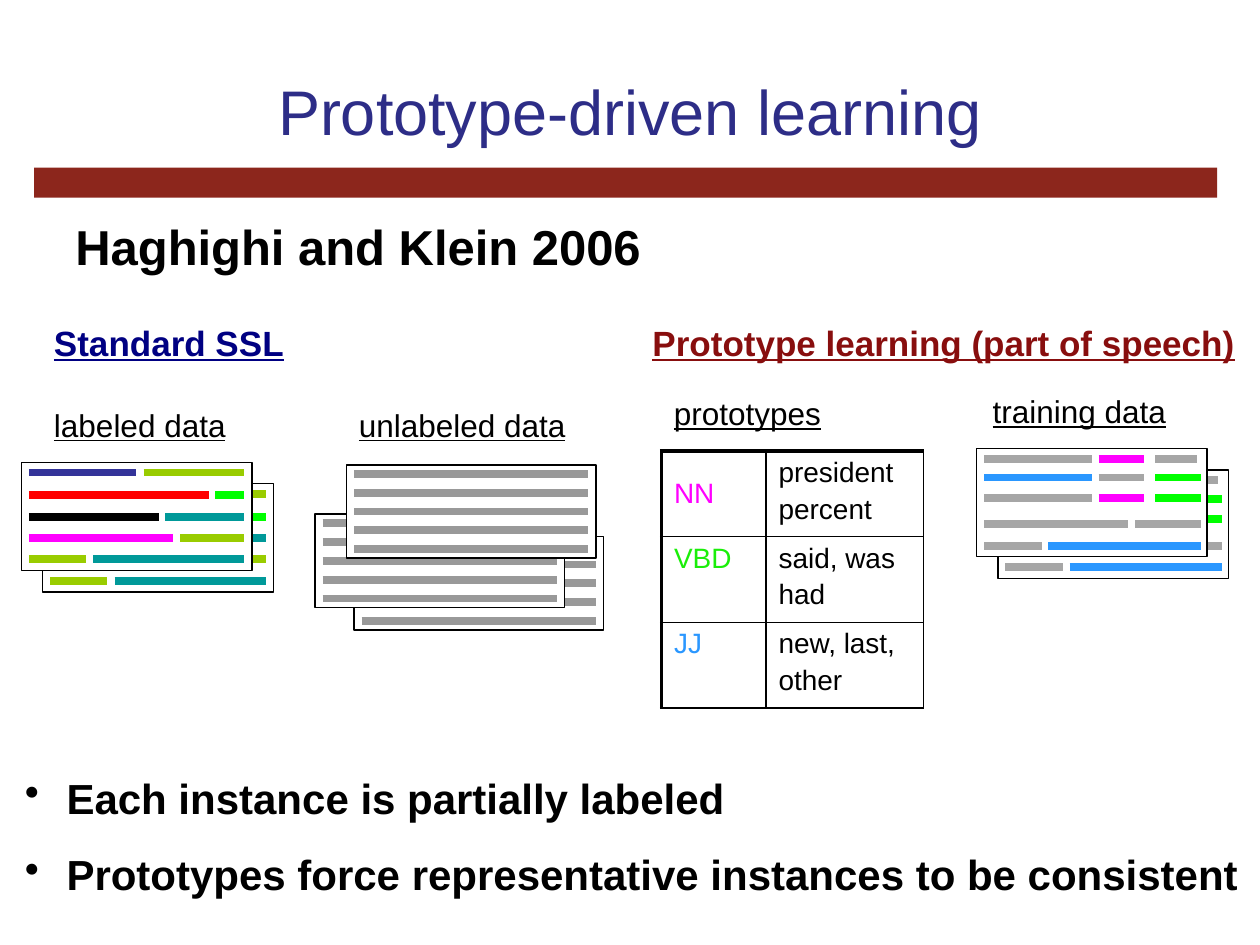
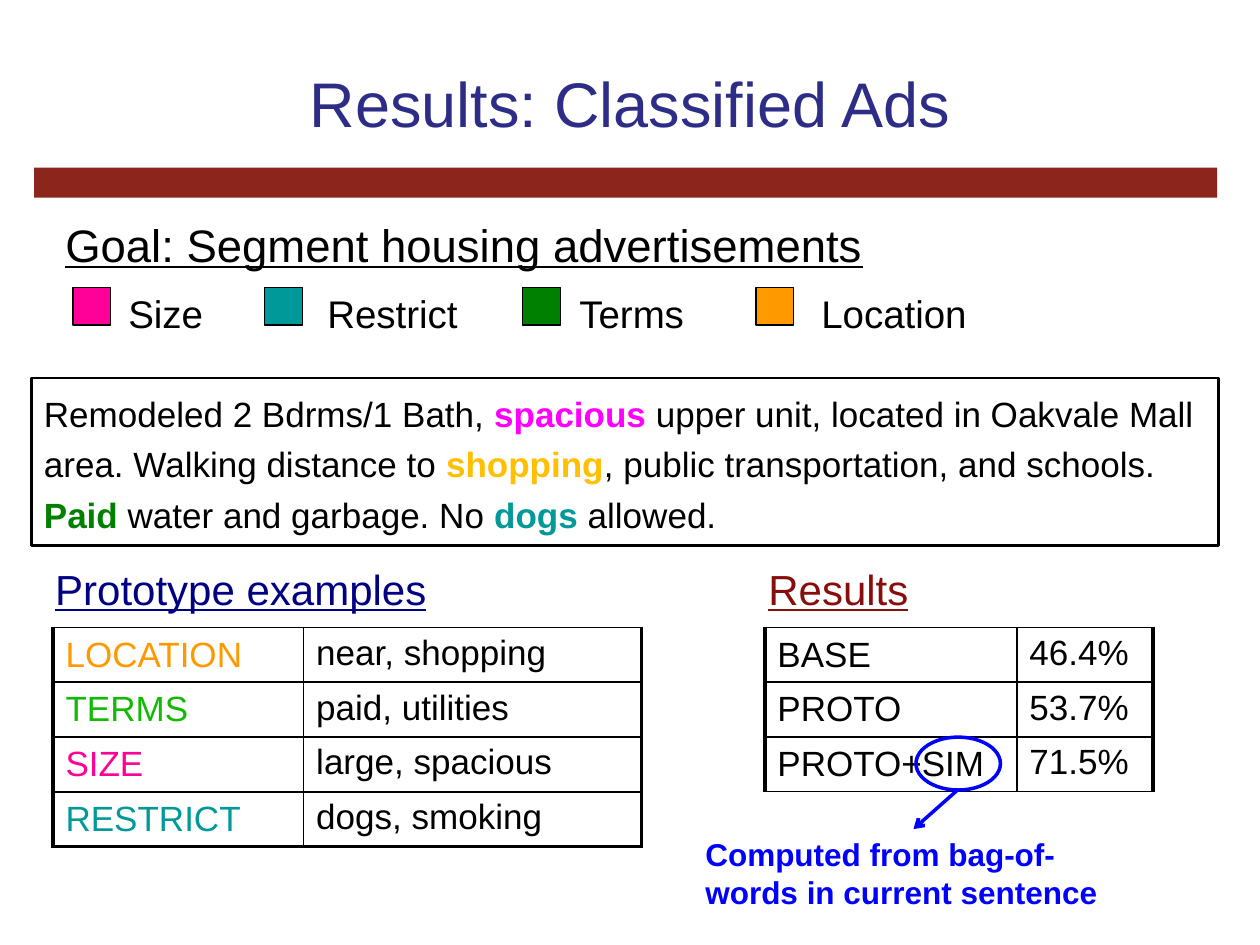
from dataclasses import dataclass
from typing import Optional

from lxml.etree import SubElement
from pptx import Presentation
from pptx.dml.color import RGBColor
from pptx.enum.shapes import MSO_CONNECTOR as Connector, MSO_SHAPE as Preset
from pptx.enum.text import MSO_ANCHOR as Anchor, MSO_AUTO_SIZE as AutoSize, PP_ALIGN as Align
from pptx.oxml.ns import qn
from pptx.util import Pt

SCALE = 9144
FONT = "Arial"
COLORS = {
    "title": "2D2D87", "band": "8C261C", "black": "000000", "white": "FFFFFF",
    "navy": "000082", "maroon": "880E0E", "blue": "0000FF", "indigo": "333399",
    "gray": "999999", "silver": "A6A6A6", "olive": "99CC00", "lime": "00FF00",
    "teal": "009999", "red": "FF0000", "magenta": "FF00FF", "sky": "2A97FF",
    "verb": "1AEE09", "green": "008000", "leaf": "12BA05", "pink": "FF0099",
    "orange": "FF9900", "gold": "FFC000",
}


@dataclass(frozen=True)
class Box:
    """Place and size in px."""
    left: int
    top: int
    width: int
    height: int


@dataclass(frozen=True)
class Stroke:
    """A coloured line of text on a page, measured from the page's left edge."""
    start: int
    end: int
    color: str


@dataclass(frozen=True)
class Run:
    """A run of text with its own colour and weight."""
    text: str
    color: str = "black"
    bold: bool = False


@dataclass(frozen=True)
class Grid:
    """A two-column table of coloured labels and values."""
    box: Box
    columns: tuple
    rows: tuple
    size: int
    heavy_sides: str
    centered_labels: int


@dataclass(frozen=True)
class Category:
    """A legend entry with its swatch and label positions."""
    label: str
    color: str
    swatch_left: int
    label_left: int


LABELED_ROWS = (
    (8, (Stroke(6, 91, "indigo"), Stroke(97, 177, "olive"))),
    (26, (Stroke(6, 149, "red"), Stroke(154, 177, "lime"))),
    (43, (Stroke(6, 109, "black"), Stroke(114, 177, "teal"))),
    (60, (Stroke(6, 120, "magenta"), Stroke(126, 177, "olive"))),
    (77, (Stroke(6, 51, "olive"), Stroke(57, 177, "teal"))),
)
TRAINING_ROWS = (
    (8, (Stroke(6, 92, "silver"), Stroke(97, 133, "magenta"), Stroke(142, 175, "silver"))),
    (23, (Stroke(6, 92, "sky"), Stroke(97, 133, "silver"), Stroke(142, 178, "lime"))),
    (39, (Stroke(6, 92, "silver"), Stroke(97, 133, "magenta"), Stroke(142, 178, "lime"))),
    (60, (Stroke(6, 120, "silver"), Stroke(126, 178, "silver"))),
    (77, (Stroke(6, 52, "silver"), Stroke(57, 178, "sky"))),
)
UNLABELED_ROWS = tuple((7 + 15 * row, (Stroke(6, 192, "gray"),)) for row in range(5))

TAGS = Grid(
    Box(525, 358, 208, 204), (83, 125),
    (("NN", "magenta", ("president", "percent")),
     ("VBD", "verb", ("said, was", "had")),
     ("JJ", "sky", ("new, last,", "other"))),
    16, "LT", 1)
FIELDS = Grid(
    Box(42, 498, 467, 174), (199, 268),
    (("LOCATION", "orange", ("near, shopping",)),
     ("TERMS", "leaf", ("paid, utilities",)),
     ("SIZE", "pink", ("large, spacious",)),
     ("RESTRICT", "teal", ("dogs, smoking",))),
    20, "LRB", 4)
SCORES = Grid(
    Box(607, 498, 308, 130), (200, 108),
    (("BASE", "black", ("46.4%",)),
     ("PROTO", "black", ("53.7%",)),
     ("PROTO+SIM", "black", ("71.5%",))),
    20, "LR", 3)
CATEGORIES = (
    Category("Size", "pink", 58, 92),
    Category("Restrict", "teal", 210, 250),
    Category("Terms", "green", 415, 450),
    Category("Location", "orange", 600, 642),
)
AD = (
    Run("Remodeled 2 Bdrms/1 Bath, "), Run("spacious", "magenta", True),
    Run(" upper unit, located in Oakvale Mall area. Walking distance to "),
    Run("shopping", "gold", True), Run(", public transportation, and schools. "),
    Run("Paid ", "green", True), Run("water and garbage. No "),
    Run("dogs", "teal", True), Run(" allowed."),
)


def px(length: int) -> int:
    """Turn px into EMU."""
    return length * SCALE


def place(box: Box) -> tuple:
    """Return a box as four EMU lengths."""
    return px(box.left), px(box.top), px(box.width), px(box.height)


def rgb(name: str) -> RGBColor:
    """Look up a colour by name."""
    return RGBColor.from_string(COLORS[name])


def write(frame, paragraphs, size=18, color="black", bold=False, underline=False,
          align=Align.LEFT, anchor=Anchor.TOP, gap=0, spacing=None, bullet_indent=0) -> None:
    """Fill a text frame with paragraphs of strings or runs in one format."""
    frame.word_wrap = True
    frame.vertical_anchor = anchor
    for index, content in enumerate(paragraphs):
        paragraph = frame.add_paragraph() if index else frame.paragraphs[0]
        if bullet_indent:
            properties = paragraph._p.get_or_add_pPr()
            properties.set("marL", str(px(bullet_indent)))
            properties.set("indent", str(-px(bullet_indent)))
            SubElement(properties, qn("a:buChar")).set("char", "•")
        paragraph.alignment = align
        paragraph.line_spacing = spacing
        if index:
            paragraph.space_before = Pt(gap)
        for part in (Run(content, color, bold),) if isinstance(content, str) else content:
            run = paragraph.add_run()
            run.text = part.text
            font = run.font
            font.name, font.size = FONT, Pt(size)
            font.bold, font.underline = part.bold, underline
            font.color.rgb = rgb(part.color)


def add_text(slide, box: Box, *paragraphs, **text_format) -> None:
    """Add a text box."""
    write(slide.shapes.add_textbox(*place(box)).text_frame, paragraphs, **text_format)


def add_shape(slide, box: Box, fill: Optional[str] = None, outline: Optional[str] = "black",
              weight: float = 0.75, preset=Preset.RECTANGLE):
    """Add a flat preset shape."""
    shape = slide.shapes.add_shape(preset, *place(box))
    shape.shadow.inherit = False
    if fill:
        shape.fill.solid()
        shape.fill.fore_color.rgb = rgb(fill)
    else:
        shape.fill.background()
    if outline:
        shape.line.color.rgb = rgb(outline)
        shape.line.width = Pt(weight)
    else:
        shape.line.fill.background()
    return shape


def add_line(slide, start: tuple, end: tuple, color: str, weight: float, arrow=False) -> None:
    """Add a straight line, with an arrowhead at its end if asked."""
    line = slide.shapes.add_connector(Connector.STRAIGHT, *map(px, start + end))
    line.line.color.rgb = rgb(color)
    line.line.width = Pt(weight)
    if arrow:
        SubElement(line.line._get_or_add_ln(), qn("a:tailEnd")).set("type", "arrow")
    SubElement(line._element.spPr, qn("a:effectLst"))


def add_page(slide, box: Box, rows: tuple) -> None:
    """Draw a sheet of paper with its rows of strokes."""
    add_shape(slide, box, "white")
    for offset, strokes in rows:
        y = box.top + offset
        for stroke in strokes:
            add_line(slide, (box.left + stroke.start, y), (box.left + stroke.end, y),
                     stroke.color, 4.5)


def add_page_pair(slide, left: int, top: int, rows: tuple) -> None:
    """Draw a page in front of a shifted one that shows its row ends and last row."""
    peeking = tuple((y, strokes[-1:]) for y, strokes in rows[:-1]) + rows[-1:]
    add_page(slide, Box(left + 17, top + 17, 183, 86), peeking)
    add_page(slide, Box(left, top, 183, 86), rows)


def set_border(cell, side: str, weight: float) -> None:
    """Draw one side of a cell in black."""
    edge = SubElement(cell._tc.get_or_add_tcPr(), qn(f"a:ln{side}"))
    edge.set("w", str(Pt(weight)))
    SubElement(SubElement(edge, qn("a:solidFill")), qn("a:srgbClr")).set("val", COLORS["black"])


def add_grid(slide, grid: Grid) -> None:
    """Add a table with heavy outer sides and thin inner rules."""
    count = len(grid.rows)
    table = slide.shapes.add_table(count, 2, *place(grid.box)).table
    table.first_row = table.horz_banding = False
    for column, width in zip(table.columns, grid.columns):
        column.width = px(width)
    for row, (label, color, values) in enumerate(grid.rows):
        table.rows[row].height = px(grid.box.height) // count
        for column, lines in enumerate(((label,), values)):
            cell = table.cell(row, column)
            write(cell.text_frame, lines, size=grid.size,
                  color="black" if column else color, gap=grid.size / 5)
            centered = column == 0 and row < grid.centered_labels
            cell.vertical_anchor = Anchor.MIDDLE if centered else Anchor.TOP
            outer = {"L": column == 0, "R": column == 1, "T": row == 0, "B": row == count - 1}
            for side, is_outer in outer.items():
                set_border(cell, side, 2.25 if is_outer and side in grid.heavy_sides else 1)
            cell.fill.background()


def add_slide(deck, title: str, box: Box):
    """Add a slide with the red band and a formatted title."""
    slide = deck.slides.add_slide(deck.slide_layouts[5])
    heading = slide.shapes.title
    heading.left, heading.top, heading.width, heading.height = place(box)
    write(heading.text_frame, [title], size=36, color="title",
          align=Align.CENTER, anchor=Anchor.MIDDLE)
    heading.text_frame.auto_size = AutoSize.NONE
    add_shape(slide, Box(27, 133, 939, 24), "band", None)
    return slide


def build_learning(deck) -> None:
    """Compare standard semi-supervised learning with prototype learning."""
    slide = add_slide(deck, "Prototype-driven learning", Box(50, 25, 900, 125))
    add_text(slide, Box(50, 167, 717, 57), "Haghighi and Klein 2006", size=28, bold=True)
    for left, heading, color in ((33, "Standard SSL", "navy"),
                                 (508, "Prototype learning (part of speech)", "maroon")):
        add_text(slide, Box(left, 250, 492, 62), heading,
                 size=20, color=color, bold=True, underline=True)
    for left, top, caption in ((33, 317, "labeled data"), (275, 317, "unlabeled data"),
                               (525, 308, "prototypes"), (778, 306, "training data")):
        add_text(slide, Box(left, top, 192, 40), caption, underline=True)
    for left, top in ((281, 426), (250, 408), (275, 369)):
        add_page(slide, Box(left, top, 198, 74), UNLABELED_ROWS)
    add_page_pair(slide, 17, 367, LABELED_ROWS)
    add_page_pair(slide, 775, 356, TRAINING_ROWS)
    add_grid(slide, TAGS)
    add_text(slide, Box(10, 608, 990, 112), "Each instance is partially labeled",
             "Prototypes force representative instances to be consistent",
             size=24, bold=True, gap=15, bullet_indent=33)


def build_results(deck) -> None:
    """Show the classified ads task, its prototypes and its scores."""
    slide = add_slide(deck, "Results: Classified Ads", Box(75, 33, 850, 96))
    add_text(slide, Box(42, 167, 883, 54), "Goal: Segment housing advertisements",
             size=26, underline=True)
    for category in CATEGORIES:
        add_shape(slide, Box(category.swatch_left, 228, 30, 30), category.color)
        add_text(slide, Box(category.label_left, 225, 158, 47), category.label,
                 size=22, anchor=Anchor.MIDDLE)
    ad = add_shape(slide, Box(25, 300, 942, 133), "white", weight=1.5)
    write(ad.text_frame, [AD], size=20, spacing=1.2)
    for left, heading, color in ((34, "Prototype examples", "navy"), (600, "Results", "maroon")):
        add_text(slide, Box(left, 442, 350, 50), heading, size=24, color=color, underline=True)
    add_grid(slide, FIELDS)
    add_grid(slide, SCORES)
    add_text(slide, Box(550, 658, 350, 71), "Computed from bag-of-words in current sentence",
             color="blue", bold=True)
    add_shape(slide, Box(727, 585, 67, 42), outline="blue", weight=2, preset=Preset.OVAL)
    add_line(slide, (760, 627), (725, 658), "blue", 2, arrow=True)


def main() -> None:
    """Build and save the deck."""
    deck = Presentation()
    deck.slide_width, deck.slide_height = px(1000), px(750)
    build_learning(deck)
    build_results(deck)
    deck.save("out.pptx")


if __name__ == "__main__":
    main()
